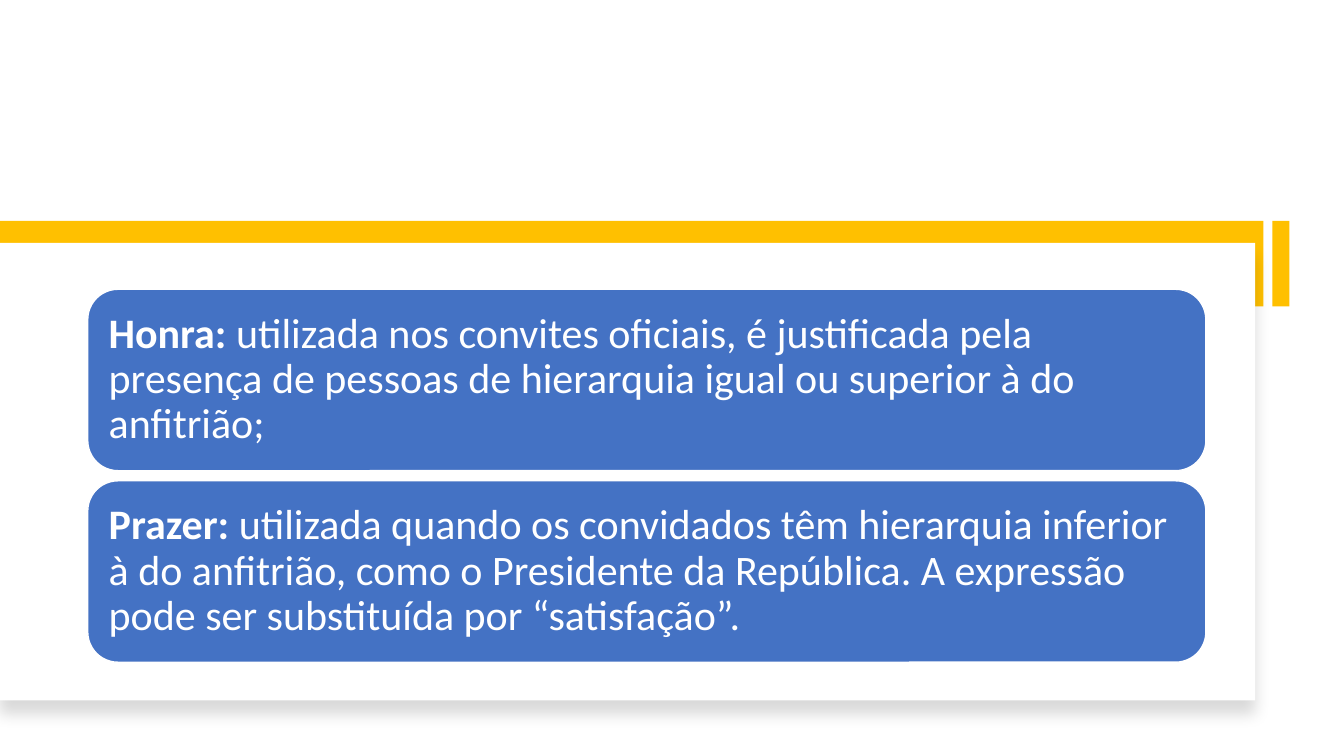
from dataclasses import dataclass

from lxml.etree import SubElement
from pptx import Presentation
from pptx.dml.color import RGBColor
from pptx.enum.shapes import MSO_SHAPE
from pptx.enum.text import MSO_ANCHOR, PP_ALIGN
from pptx.oxml.ns import qn
from pptx.util import Inches, Pt


@dataclass(frozen=True)
class Theme:
    gold: RGBColor = RGBColor(0xFF, 0xC0, 0x00)
    blue: RGBColor = RGBColor(0x44, 0x72, 0xC4)
    white: RGBColor = RGBColor(0xFF, 0xFF, 0xFF)
    font: str = "Calibri"
    body: Pt = Pt(30)


theme = Theme()
prs = Presentation()
prs.slide_width = Inches(13.33)
prs.slide_height = Inches(7.5)
slide = prs.slides.add_slide(prs.slide_layouts[6])


def add_block(kind, left, top, width, height, color):
    block = slide.shapes.add_shape(
        kind, Inches(left), Inches(top), Inches(width), Inches(height))
    block.shadow.inherit = False
    block.fill.solid()
    block.fill.fore_color.rgb = color
    block.line.fill.background()
    return block


add_block(MSO_SHAPE.RECTANGLE, 12.62, 2.19, 0.17, 0.85, theme.gold)
add_block(MSO_SHAPE.RECTANGLE, 0, 2.19, 12.53, 0.85, theme.gold)

panel = add_block(MSO_SHAPE.RECTANGLE, 0, 2.41, 12.45, 4.54, theme.white)
effects = panel.element.spPr.find(qn("a:effectLst"))
panel_shadow = SubElement(
    effects, qn("a:outerShdw"), blurRad=str(Pt(11)), dist=str(Pt(10)),
    dir="5400000", algn="t", rotWithShape="0")
shadow_color = SubElement(panel_shadow, qn("a:srgbClr"), val="000000")
SubElement(shadow_color, qn("a:alpha"), val="15000")

expressions = [
    ("Honra: ", "utilizada nos convites oficiais, é justificada pela presença "
     "de pessoas de hierarquia igual ou superior à do anfitrião;"),
    ("Prazer: ", "utilizada quando os convidados têm hierarquia inferior à do "
     "anfitrião, como o Presidente da República. A expressão pode ser "
     "substituída por “satisfação”."),
]

for row, (term, meaning) in enumerate(expressions):
    card = add_block(MSO_SHAPE.ROUNDED_RECTANGLE,
                     0.87, 2.87 + row * 1.9, 11.09, 1.8, theme.blue)
    card.line.color.rgb = theme.white
    card.line.width = Pt(1)

    frame = card.text_frame
    frame.word_wrap = True
    frame.vertical_anchor = MSO_ANCHOR.MIDDLE
    frame.margin_left = frame.margin_right = Inches(0.12)
    frame.margin_top = frame.margin_bottom = Inches(0.12)

    definition = frame.paragraphs[0]
    definition.alignment = PP_ALIGN.LEFT
    definition.line_spacing = 0.9
    definition.font.name = theme.font
    definition.font.size = theme.body
    definition.font.color.rgb = theme.white
    term_run = definition.add_run()
    term_run.text = term
    term_run.font.bold = True
    definition.add_run().text = meaning

prs.save("out.pptx")
